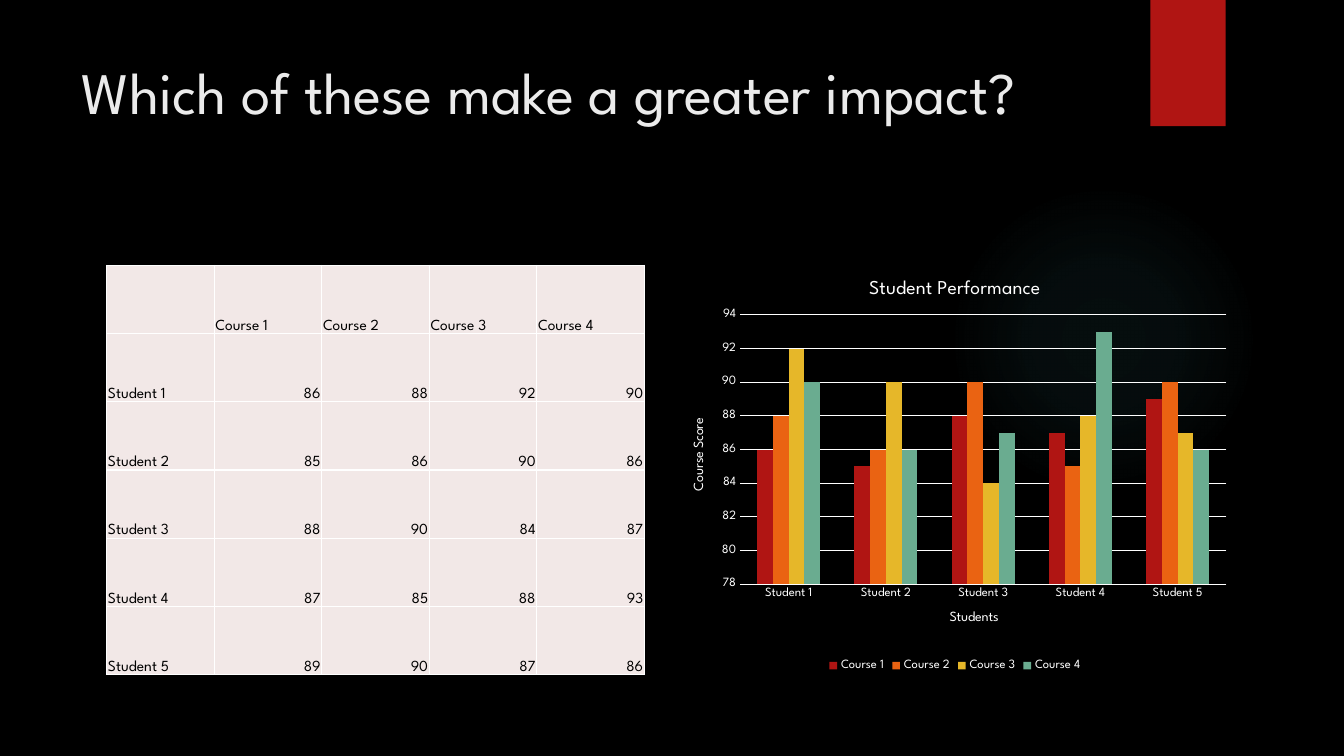
from lxml import etree
from pptx import Presentation
from pptx.chart.data import CategoryChartData
from pptx.dml.color import RGBColor
from pptx.enum.chart import XL_CHART_TYPE, XL_LEGEND_POSITION, XL_TICK_MARK
from pptx.enum.shapes import MSO_SHAPE
from pptx.enum.text import MSO_ANCHOR, PP_ALIGN
from pptx.oxml import parse_xml
from pptx.oxml.ns import nsdecls, qn
from pptx.util import Cm, Pt

OVAL, RECT = MSO_SHAPE.OVAL, MSO_SHAPE.RECTANGLE
TOP, BOTTOM = MSO_ANCHOR.TOP, MSO_ANCHOR.BOTTOM
LEFT, RIGHT = PP_ALIGN.LEFT, PP_ALIGN.RIGHT
COLUMNS = XL_CHART_TYPE.COLUMN_CLUSTERED
BELOW = XL_LEGEND_POSITION.BOTTOM
NO_TICK = XL_TICK_MARK.NONE

BLACK = RGBColor(0x00, 0x00, 0x00)
WHITE = RGBColor(0xFF, 0xFF, 0xFF)
PALE = RGBColor(0xEB, 0xEB, 0xEB)
BLUSH = RGBColor(0xF2, 0xE8, 0xE7)
TEAL = RGBColor(0x50, 0xB9, 0xC1)
RED = RGBColor(0xB0, 0x15, 0x13)
ORANGE = RGBColor(0xEA, 0x63, 0x12)
YELLOW = RGBColor(0xE6, 0xB7, 0x29)
GREEN = RGBColor(0x6A, 0xAC, 0x90)

FACE = "League Spartan"
NAMES = [f"Student {n}" for n in range(1, 6)]
SCORES = {
    "Course 1": (86, 85, 88, 87, 89),
    "Course 2": (88, 86, 90, 85, 90),
    "Course 3": (92, 90, 84, 88, 87),
    "Course 4": (90, 86, 87, 93, 86),
}
HUES = (RED, ORANGE, YELLOW, GREEN)


def style(font, size, color):
    font.name = FACE
    font.size = Pt(size)
    font.bold = False
    font.color.rgb = color


def add_glow(slide, box):
    glow = slide.shapes.add_shape(OVAL, *box)
    glow.shadow.inherit = False
    glow.line.fill.background()
    stops = "".join(
        f'<a:gs pos="{pos}000"><a:srgbClr val="{TEAL}"><a:alpha val="{alpha}000"/></a:srgbClr></a:gs>'
        for pos, alpha in ((0, 7), (36, 6), (69, 0)))
    fill = parse_xml(
        f'<a:gradFill {nsdecls("a")}><a:gsLst>{stops}</a:gsLst><a:path path="circle">'
        '<a:fillToRect l="50000" t="50000" r="50000" b="50000"/></a:path></a:gradFill>')
    glow._element.spPr.find(qn("a:prstGeom")).addnext(fill)


def add_tab(slide, box):
    tab = slide.shapes.add_shape(RECT, *box)
    tab.shadow.inherit = False
    tab.fill.solid()
    tab.fill.fore_color.rgb = RED
    tab.line.fill.background()


def add_title(slide, box):
    frame = slide.shapes.add_textbox(*box).text_frame
    frame.word_wrap = True
    frame.vertical_anchor = TOP
    head = frame.paragraphs[0]
    head.text = "Which of these make a greater impact?"
    style(head.font, 42, PALE)


def add_edges(cell):
    props = cell._tc.get_or_add_tcPr()
    for spot, side in enumerate(("lnL", "lnR", "lnT", "lnB")):
        props.insert(spot, parse_xml(
            f'<a:{side} {nsdecls("a")} w="12700"><a:solidFill>'
            f'<a:srgbClr val="{WHITE}"/></a:solidFill></a:{side}>'))


def add_grid(slide, box):
    rows = [("", *SCORES), *zip(NAMES, *SCORES.values())]
    grid = slide.shapes.add_table(len(rows), len(rows[0]), *box).table
    for r, row in enumerate(rows):
        for c, value in enumerate(row):
            cell = grid.cell(r, c)
            cell.fill.solid()
            cell.fill.fore_color.rgb = BLUSH
            cell.vertical_anchor = BOTTOM
            cell.margin_left = cell.margin_right = cell.margin_top = Cm(0.03)
            cell.margin_bottom = 0
            para = cell.text_frame.paragraphs[0]
            para.text = str(value)
            para.alignment = RIGHT if r and c else LEFT
            style(para.font, 11, BLACK)
            add_edges(cell)


def set_title(part, text, size):
    para = part.text_frame.paragraphs[0]
    para.text = text
    style(para.font, size, WHITE)


def set_line(line):
    line.color.rgb = WHITE
    line.width = Pt(0.75)


def set_plot(chart):
    area = chart._chartSpace.chart.plotArea
    for old in area.findall(qn("c:layout")):
        area.remove(old)
    layout = parse_xml(f'<c:layout {nsdecls("c")}><c:manualLayout/></c:layout>')
    area.insert(0, layout)
    rules = (("layoutTarget", "inner"), ("xMode", "edge"), ("yMode", "edge"),
             ("x", "0.12"), ("y", "0.13"), ("w", "0.86"), ("h", "0.65"))
    for name, value in rules:
        etree.SubElement(layout[0], qn(f"c:{name}")).set("val", value)


def add_bars(slide, box):
    data = CategoryChartData()
    data.categories = NAMES
    for name, marks in SCORES.items():
        data.add_series(name, marks)
    chart = slide.shapes.add_chart(COLUMNS, *box, data).chart
    style(chart.font, 10, WHITE)
    set_title(chart.chart_title, "Student Performance", 14)
    chart.has_legend = True
    chart.legend.position = BELOW
    chart.legend.include_in_layout = False
    style(chart.legend.font, 9, WHITE)

    plot = chart.plots[0]
    plot.gap_width = 219
    plot.vary_by_categories = False
    for bars, hue in zip(plot.series, HUES):
        bars.format.fill.solid()
        bars.format.fill.fore_color.rgb = hue

    base, scale = chart.category_axis, chart.value_axis
    for axis, text in ((base, "Students"), (scale, "Course Score")):
        set_title(axis.axis_title, text, 10)
        axis.major_tick_mark = axis.minor_tick_mark = NO_TICK
        style(axis.tick_labels.font, 9, WHITE)
    set_line(base.format.line)
    scale.format.line.fill.background()
    set_line(scale.major_gridlines.format.line)
    scale.minimum_scale, scale.maximum_scale, scale.major_unit = 78, 94, 2
    scale.tick_labels.number_format = "0;[Red]0"
    scale.tick_labels.number_format_is_linked = False
    set_plot(chart)


def main():
    deck = Presentation()
    deck.slide_width, deck.slide_height = Cm(33.87), Cm(19.05)
    slide = deck.slides.add_slide(deck.slide_layouts[6])
    slide.background.fill.solid()
    slide.background.fill.fore_color.rgb = BLACK
    add_glow(slide, (Cm(23.9), Cm(4.65), Cm(7.82), Cm(7.82)))
    add_tab(slide, (Cm(28.99), 0, Cm(1.9), Cm(3.18)))
    add_title(slide, (Cm(1.8), Cm(1.27), Cm(26.14), Cm(3.89)))
    add_grid(slide, (Cm(2.69), Cm(6.69), Cm(13.55), Cm(10.31)))
    add_bars(slide, (Cm(16.94), Cm(6.58), Cm(14.25), Cm(10.44)))
    deck.save("out.pptx")


if __name__ == "__main__":
    main()
